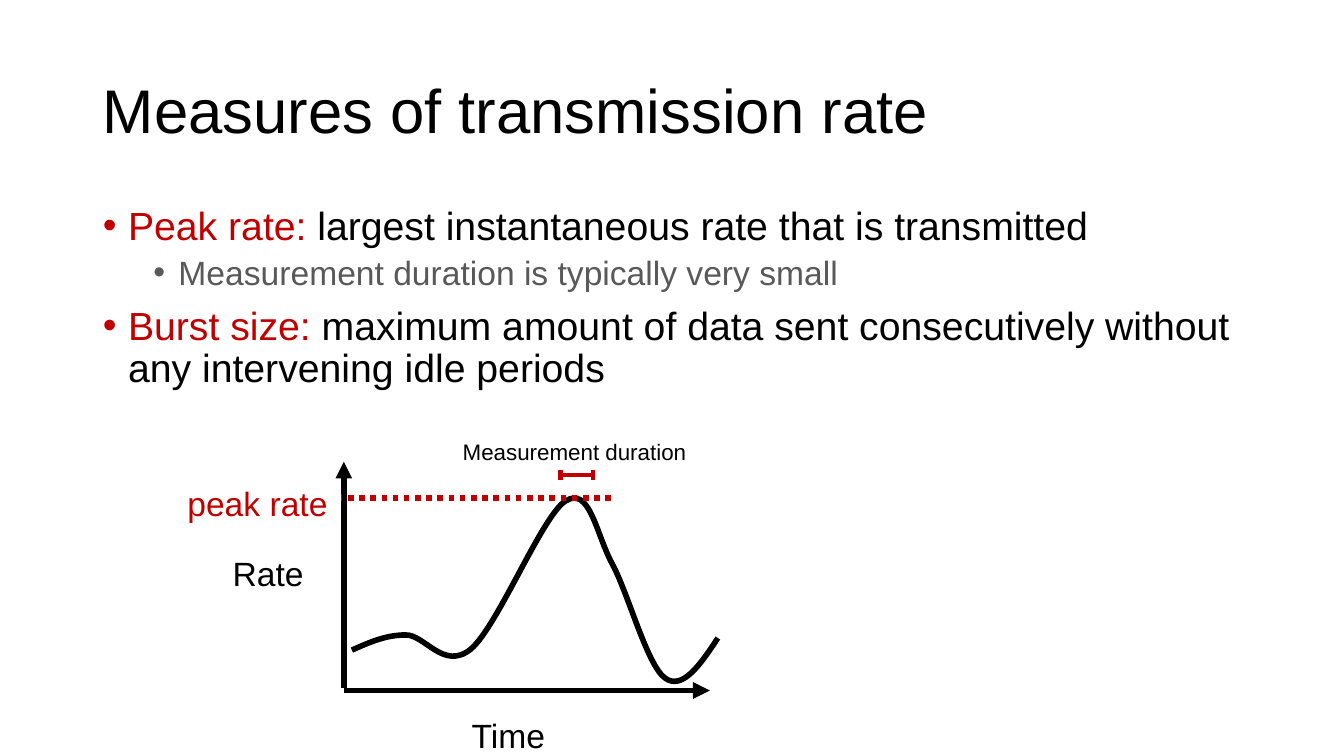
"""Build a slide on transmission rate measures with a rate-over-time sketch."""
from lxml import etree
from pptx import Presentation
from pptx import util as u
from pptx.dml.color import RGBColor
from pptx.enum import dml, shapes, text
from pptx.oxml import ns

BLACK = RGBColor(0x00, 0x00, 0x00)
GREY = RGBColor(0x59, 0x59, 0x59)
RED = RGBColor(0xC0, 0x00, 0x00)
FONT = "Arial"

HEADING = "Measures of transmission rate"
DEFINITIONS = [
    (0, [("Peak rate:", RED), (" largest instantaneous rate that is transmitted", BLACK)]),
    (1, [("Measurement duration is typically very small", GREY)]),
    (0, [("Burst size:", RED),
         (" maximum amount of data sent consecutively without any intervening idle periods", BLACK)]),
]
LEVELS = [{"size": 28, "indent": 0.25, "before": 10}, {"size": 24, "indent": 0.75, "before": 5}]

PEAK_Y, BRACKET_Y, BRACKET_TICK = 4.94, 4.71, 0.05
BRACKET_LEFT, BRACKET_RIGHT = 5.56, 5.88
AXES = [((3.41, 6.83), (3.41, 4.58)), ((3.41, 6.85), (7.04, 6.85))]
BRACKET = [((BRACKET_LEFT, BRACKET_Y), (BRACKET_RIGHT, BRACKET_Y))] + [
    ((x, BRACKET_Y - BRACKET_TICK), (x, BRACKET_Y + BRACKET_TICK))
    for x in (BRACKET_LEFT, BRACKET_RIGHT)
]
UNITS_PER_INCH = 100
RATE_START = (349, 645)
RATE_CURVES = [
    ((365, 638), (382, 630), (402, 630)),
    ((421, 629), (440, 666), (467, 644)),
    ((494, 621), (538, 511), (561, 497)),
    ((585, 482), (591, 529), (607, 559)),
    ((623, 588), (642, 661), (660, 673)),
    ((677, 685), (695, 659), (712, 633)),
]
LABELS = [
    ("Time", (4.58, 7.04, 2.16, 0.57), 24, BLACK),
    ("Rate", (2.21, 5.44, 1.16, 0.57), 24, BLACK),
    ("peak rate", (1.76, 4.74, 2.05, 0.5), 24, RED),
    ("Measurement duration", (4.49, 4.3, 3.15, 0.37), 16, BLACK),
]


def place(part, box):
    part.left, part.top, part.width, part.height = map(u.Inches, box)


def style(font, size, color):
    font.name, font.size, font.color.rgb = FONT, u.Pt(size), color


def draw_line(slide, ends, color, width, arrow=False, dash=None):
    start, end = ends
    line = slide.shapes.add_connector(
        shapes.MSO_CONNECTOR.STRAIGHT, *map(u.Inches, start + end))
    line.line.color.rgb, line.line.width = color, u.Pt(width)
    if dash:
        line.line.dash_style = dash
    if arrow:
        etree.SubElement(line.line._get_or_add_ln(), ns.qn("a:tailEnd"), type="triangle")
    etree.SubElement(line._element.spPr, ns.qn("a:effectLst"))


def fill_heading(title):
    place(title, (0.92, 0.4, 11.5, 1.45))
    frame = title.text_frame
    frame.text = HEADING
    frame.vertical_anchor = text.MSO_ANCHOR.MIDDLE
    frame.auto_size = text.MSO_AUTO_SIZE.NONE
    heading = frame.paragraphs[0]
    heading.alignment, heading.line_spacing = text.PP_ALIGN.LEFT, 0.9
    style(heading.runs[0].font, 44, BLACK)


def fill_definitions(body):
    place(body, (0.92, 2, 11.5, 4.76))
    frame = body.text_frame
    frame.auto_size = text.MSO_AUTO_SIZE.NONE
    for index, (level, pieces) in enumerate(DEFINITIONS):
        definition = frame.add_paragraph() if index else frame.paragraphs[0]
        look = LEVELS[level]
        definition.level = level
        properties = definition._p.get_or_add_pPr()
        properties.set("marL", str(u.Inches(look["indent"])))
        properties.set("indent", str(u.Inches(-0.25)))
        etree.SubElement(properties, ns.qn("a:buFont"), typeface=FONT)
        etree.SubElement(properties, ns.qn("a:buChar"), char="•")
        definition.line_spacing = 0.9
        definition.space_before = u.Pt(look["before"] if index else 0)
        for words, color in pieces:
            run = definition.add_run()
            run.text = words
            style(run.font, look["size"], color)


def draw_rate(slide):
    knots = [curve[-1] for curve in RATE_CURVES]
    left, top = map(min, zip(RATE_START, *knots))
    builder = slide.shapes.build_freeform(*RATE_START, scale=u.Inches(1) / UNITS_PER_INCH)
    builder.add_line_segments(knots, close=False)
    rate = builder.convert_to_shape()
    segments = list(rate._element.iter(ns.qn("a:lnTo")))
    for segment, curve in zip(segments, RATE_CURVES):
        bend = etree.Element(ns.qn("a:cubicBezTo"))
        for x, y in curve:
            etree.SubElement(bend, ns.qn("a:pt"), x=str(x - left), y=str(y - top))
        segment.getparent().replace(segment, bend)
    rate.fill.background()
    rate.line.color.rgb, rate.line.width = BLACK, u.Pt(4)
    rate.shadow.inherit = False


def add_label(slide, words, box, size, color):
    frame = slide.shapes.add_textbox(*map(u.Inches, box)).text_frame
    frame.word_wrap = True
    frame.text = words
    style(frame.paragraphs[0].runs[0].font, size, color)


def main():
    deck = Presentation()
    deck.slide_width, deck.slide_height = u.Inches(13.33), u.Inches(7.5)
    slide = deck.slides.add_slide(deck.slide_layouts[1])
    fill_heading(slide.shapes.title)
    fill_definitions(slide.placeholders[1])
    for axis in AXES:
        draw_line(slide, axis, BLACK, 4, arrow=True)
    draw_rate(slide)
    for label in LABELS:
        add_label(slide, *label)
    for stroke in BRACKET:
        draw_line(slide, stroke, RED, 3)
    draw_line(slide, ((6.06, PEAK_Y), (3.38, PEAK_Y)), RED, 4,
              dash=dml.MSO_LINE.ROUND_DOT)
    deck.save("out.pptx")


if __name__ == "__main__":
    main()
